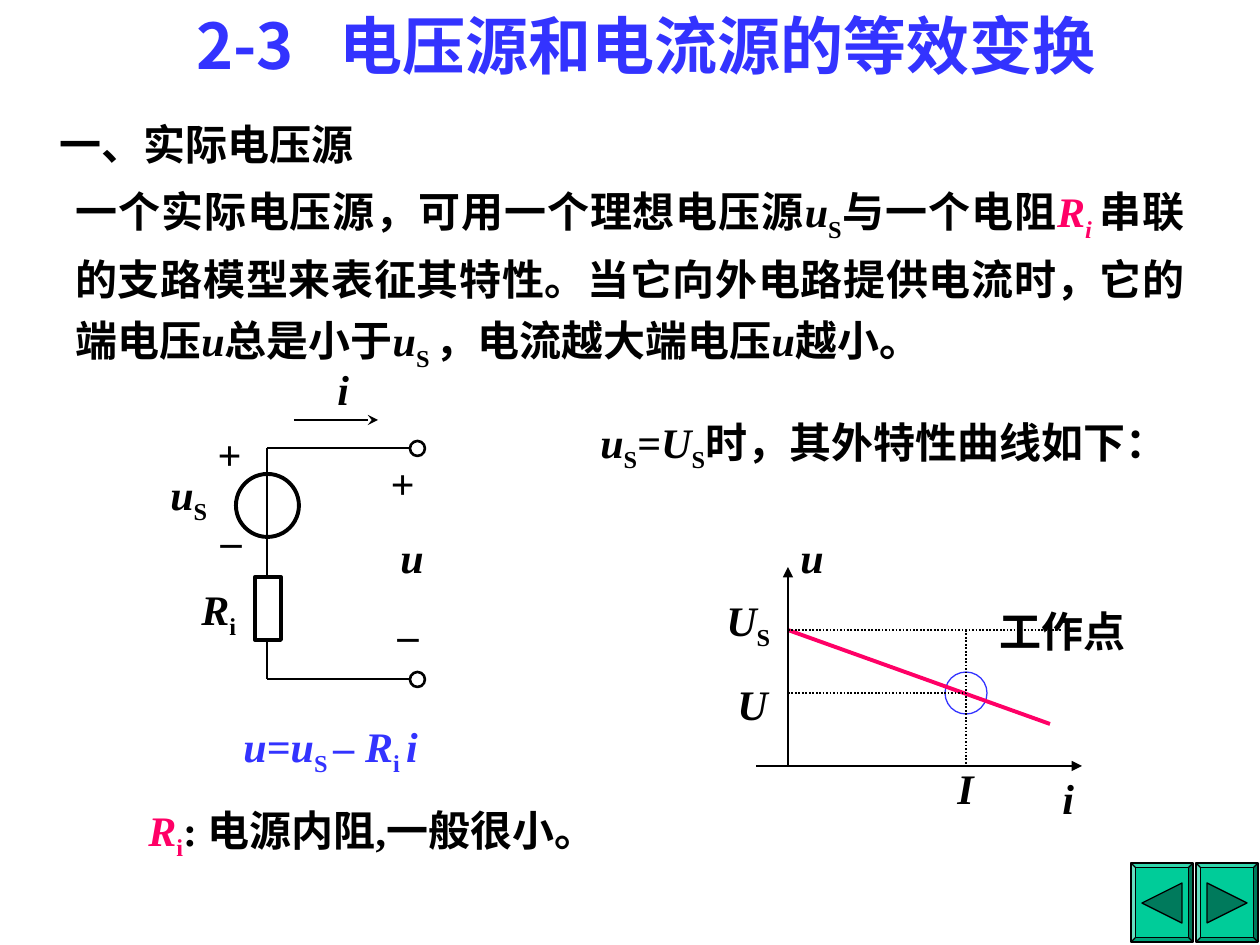
from pptx import Presentation
from pptx.dml.color import RGBColor
from pptx.enum.dml import MSO_LINE
from pptx.enum.shapes import MSO_CONNECTOR, MSO_SHAPE
from pptx.enum.text import MSO_ANCHOR, MSO_AUTO_SIZE, PP_ALIGN
from pptx.oxml.ns import qn
from pptx.util import Emu, Pt
from lxml import etree

STRAIGHT = MSO_CONNECTOR.STRAIGHT
OVAL, RECTANGLE = MSO_SHAPE.OVAL, MSO_SHAPE.RECTANGLE
CALLOUT, BEVEL = MSO_SHAPE.RECTANGULAR_CALLOUT, MSO_SHAPE.BEVEL
TRIANGLE = MSO_SHAPE.ISOSCELES_TRIANGLE
DOTTED = MSO_LINE.ROUND_DOT
MIDDLE = MSO_ANCHOR.MIDDLE
FIT_SHAPE = MSO_AUTO_SIZE.SHAPE_TO_FIT_TEXT
CENTER, JUSTIFY = PP_ALIGN.CENTER, PP_ALIGN.JUSTIFY

EMU_PER_PX = 914400 / 126
COLORS = {
    "black": "000000",
    "white": "FFFFFF",
    "blue": "3333FF",
    "pink": "FF0066",
    "green": "00CC99",
    "dark green": "007A5C",
}
BODY_FONT = {"name": "Times New Roman", "size": Pt(24), "bold": True}
TITLE_FONT = {"name": "Noto Sans CJK SC", "size": Pt(36), "bold": True}

ITALIC = {"italic": True}
SUB = {"sub": True}
PINK_ITALIC = {"italic": True, "color": "pink"}
U, U_BIG, I_SYMBOL = ("u", ITALIC), ("U", ITALIC), ("i", ITALIC)
S_SUB = ("S", SUB)


def px(value):
    return Emu(round(value * EMU_PER_PX))


def rgb(name):
    return RGBColor.from_string(COLORS[name])


def write_runs(paragraph, runs, font, default_color):
    """Add runs given as plain strings or (text, style) pairs."""
    for item in runs:
        text, style = (item, {}) if isinstance(item, str) else item
        run = paragraph.add_run()
        run.text = text
        for name, value in font.items():
            setattr(run.font, name, value)
        run.font.italic = style.get("italic", False)
        run.font.color.rgb = rgb(style.get("color", default_color))
        if style.get("sub"):
            run.font._element.set("baseline", "-25000")


def add_text(slide, box, runs, color="black", font=BODY_FONT, wrap=True,
             anchor=None, tab=None, **paragraph_format):
    shape = slide.shapes.add_textbox(*map(px, box))
    frame = shape.text_frame
    frame.word_wrap = wrap
    frame.auto_size = FIT_SHAPE
    if anchor is not None:
        frame.vertical_anchor = anchor
    paragraph = frame.paragraphs[0]
    for name, value in paragraph_format.items():
        setattr(paragraph, name, value)
    if tab is not None:
        tabs = etree.SubElement(paragraph._p.get_or_add_pPr(), qn("a:tabLst"))
        etree.SubElement(tabs, qn("a:tab"), pos=str(px(tab)), algn="l")
    write_runs(paragraph, runs, font, color)


def add_shape(slide, kind, box, fill=None, line=None, width=1.0):
    shape = slide.shapes.add_shape(kind, *map(px, box))
    shape.shadow.inherit = False
    if fill:
        shape.fill.solid()
        shape.fill.fore_color.rgb = rgb(fill)
    else:
        shape.fill.background()
    if line:
        shape.line.color.rgb = rgb(line)
        shape.line.width = Pt(width)
    else:
        shape.line.fill.background()
    return shape


def add_line(slide, points, width, color="black", dash=None, arrow=None):
    connector = slide.shapes.add_connector(STRAIGHT, *map(px, points))
    connector.line.color.rgb = rgb(color)
    connector.line.width = Pt(width)
    if dash is not None:
        connector.line.dash_style = dash
    if arrow:
        line = connector.line._get_or_add_ln()
        etree.SubElement(line, qn("a:tailEnd"), type=arrow)
    etree.SubElement(connector._element.spPr, qn("a:effectLst"))


def add_button(slide, left, rotation):
    """Draw a bevelled button whose triangle points along the rotation."""
    bevel = add_shape(slide, BEVEL, (left, 863, 62, 79), "green", "black", 0.75)
    bevel.adjustments[0] = 0.07
    triangle = add_shape(slide, TRIANGLE, (left + 11, 883, 40, 40),
                         "dark green", "black", 0.75)
    triangle.rotation = rotation


def add_explanation(slide):
    add_text(slide, (184, 0, 954, 88), ["2-3\t电压源和电流源的等效变换"],
             "blue", TITLE_FONT, tab=143)
    add_text(slide, (47, 112, 319, 63), ["一、实际电压源"], wrap=False)
    add_text(slide, (63, 168, 1134, 219), [
        "一个实际电压源，可用一个理想电压源", U, S_SUB, "与一个电阻",
        ("R", PINK_ITALIC), ("i ", {**PINK_ITALIC, **SUB}),
        "串联的支路模型来表征其特性。当它向外电路提供电流时，它的端电压",
        U, "总是小于", U, ("S ", SUB), "，电流越大端电压", U, "越小。",
    ], alignment=JUSTIFY, line_spacing=1.2)
    add_text(slide, (588, 410, 588, 71),
             [U, S_SUB, "=", U_BIG, S_SUB, "时，其外特性曲线如下："])
    add_text(slide, (231, 714, 242, 71), [
        ("u=u", ITALIC), ("S ", SUB), ("– R", ITALIC), ("i ", SUB), I_SYMBOL,
    ], "blue")
    add_text(slide, (136, 798, 473, 71), [
        ("R", PINK_ITALIC), ("i", {"sub": True, "color": "pink"}),
        ": 电源内阻,一般很小。",
    ])


def add_characteristic(slide):
    """Draw the u-i curve with its axes, guides and working point."""
    axis_x, axis_y = 788, 766
    point_x, point_y = 966, 693
    source_y = 630
    add_shape(slide, OVAL, (point_x - 21, point_y - 21, 42, 42),
              "white", "blue", 0.75)
    callout = add_shape(slide, CALLOUT, (987, 599, 152, 63), "white")
    callout.adjustments[0], callout.adjustments[1] = -0.45, 0.79
    frame = callout.text_frame
    frame.word_wrap = False
    frame.vertical_anchor = MIDDLE
    frame.paragraphs[0].alignment = CENTER
    write_runs(frame.paragraphs[0], ["工作点"], BODY_FONT, "black")

    add_line(slide, (axis_x, source_y, 1050, 724), 2.25, "pink")
    for end in ((756, axis_y, 1082, axis_y), (axis_x, axis_y, axis_x, 567)):
        add_line(slide, end, 1, arrow="triangle")
    for guide in ((axis_x, source_y, 1061, source_y),
                  (axis_x, point_y, point_x, point_y),
                  (point_x, source_y, point_x, axis_y)):
        add_line(slide, guide, 1, dash=DOTTED)
    for box, runs in (((788, 525, 53, 63), [U]),
                      ((1050, 766, 42, 63), [I_SYMBOL]),
                      ((714, 588, 74, 71), [U_BIG, S_SUB]),
                      ((725, 672, 53, 63), [U_BIG]),
                      ((945, 756, 42, 63), [("I", ITALIC)])):
        add_text(slide, box, runs)


def add_circuit(slide):
    """Draw the source and its resistor in series between two terminals."""
    wire_x, terminal_x, top, bottom = 267, 410, 448, 679
    add_shape(slide, OVAL, (236, 474, 63, 63), None, "black", 2.25)
    for wire in ((wire_x, top, wire_x, bottom),
                 (wire_x, top, terminal_x, top),
                 (wire_x, bottom, terminal_x, bottom)):
        add_line(slide, wire, 1.5)
    add_line(slide, (294, 420, 378, 420), 1.5, arrow="stealth")
    add_shape(slide, RECTANGLE, (255, 577, 26, 63), "white", "black", 2.25)
    for y in (top, bottom):
        add_shape(slide, OVAL, (terminal_x, y - 7, 15, 15), None, "black", 1.5)

    for box, sign in (((205, 422, 49, 63), "+"), ((208, 494, 46, 63), "_")):
        add_text(slide, box, [sign], anchor=MIDDLE, alignment=CENTER)
    for box, runs in (((325, 357, 53, 63), [I_SYMBOL]),
                      ((158, 462, 74, 71), [U, S_SUB]),
                      ((189, 577, 63, 71), [("R", ITALIC), ("i", SUB)]),
                      ((378, 451, 63, 63), [("+", ITALIC)]),
                      ((388, 525, 63, 63), [U]),
                      ((388, 588, 63, 63), [("_", ITALIC)])):
        add_text(slide, box, runs)


def main():
    presentation = Presentation()
    presentation.slide_width, presentation.slide_height = px(1260), px(945)
    slide = presentation.slides.add_slide(presentation.slide_layouts[6])
    for left, rotation in ((1131, -90), (1196, 90)):
        add_button(slide, left, rotation)
    add_characteristic(slide)
    add_explanation(slide)
    add_circuit(slide)
    presentation.save("out.pptx")


if __name__ == "__main__":
    main()
